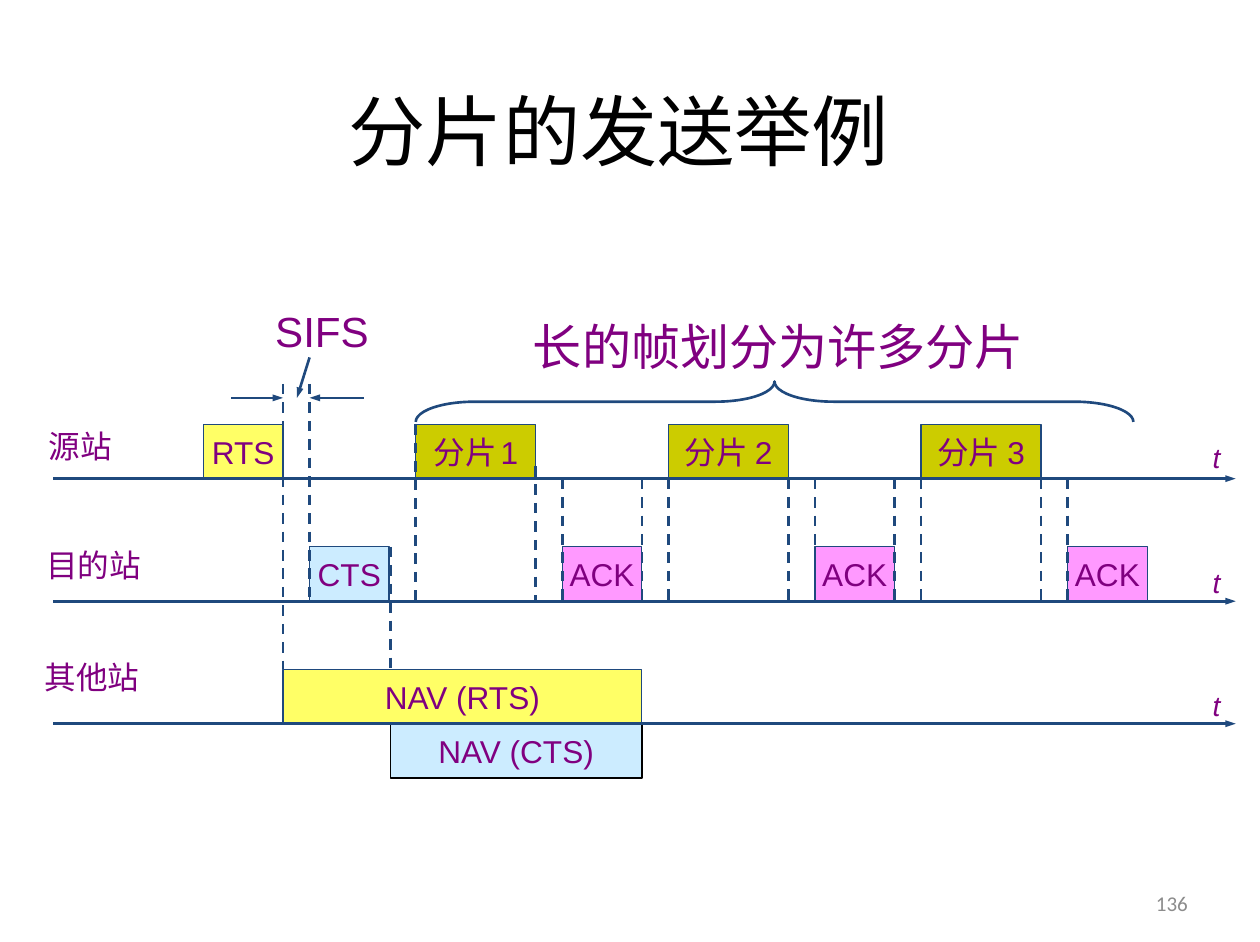
import pptx
import pptx.util
import pptx.dml.color
import pptx.enum.dml
import pptx.enum.shapes
import pptx.enum.text
import pptx.oxml.ns
import lxml.etree

Inches = pptx.util.Inches
RGBColor = pptx.dml.color.RGBColor
ALIGN = pptx.enum.text.PP_ALIGN
ANCHOR = pptx.enum.text.MSO_ANCHOR
SHAPE = pptx.enum.shapes.MSO_SHAPE

BLACK = RGBColor(0x00, 0x00, 0x00)
GRAY = RGBColor(0x8C, 0x8C, 0x8C)
PURPLE = RGBColor(0x80, 0x00, 0x80)
NAVY = RGBColor(0x1F, 0x49, 0x7D)
YELLOW = RGBColor(0xFF, 0xFF, 0x66)
PALE_BLUE = RGBColor(0xCC, 0xEC, 0xFF)
OLIVE = RGBColor(0xCC, 0xCC, 0x00)
PINK = RGBColor(0xFF, 0x99, 0xFF)

SOURCE_AXIS, DESTINATION_AXIS, OTHER_AXIS = 3.79, 4.76, 5.73
BOX_HEIGHT = 0.43
SHORT_FRAME, FRAGMENT = 0.63, 0.95
RTS_END, CTS_START, CTS_END = 2.24, 2.45, 3.09
FIRST_FRAGMENT, FRAGMENT_PITCH, ACK_OFFSET = 3.29, 2, 1.16
NAV_END = 5.08


def write_text(shape, text, size=18, font="Arial", color=PURPLE, align=ALIGN.CENTER,
               anchor=ANCHOR.MIDDLE, italic=False, wrap=False, space_size=None):
    frame = shape.text_frame
    frame.word_wrap = wrap
    frame.vertical_anchor = anchor
    paragraph = frame.paragraphs[0]
    paragraph.alignment = align
    for piece in text.partition(" ") if space_size else [text]:
        run = paragraph.add_run()
        run.text = piece
        run.font.size = pptx.util.Pt(space_size if piece == " " else size)
        run.font.name = font
        run.font.color.rgb = color
        run.font.italic = italic


def add_line(start, end, dashed=False, arrow=False):
    line = slide.shapes.add_connector(
        pptx.enum.shapes.MSO_CONNECTOR.STRAIGHT, *map(Inches, start + end))
    line.line.color.rgb = NAVY
    line.line.width = pptx.util.Pt(1.5)
    properties = line._element.spPr
    if dashed:
        line.line.dash_style = pptx.enum.dml.MSO_LINE.DASH
    if arrow:
        outline = properties.find(pptx.oxml.ns.qn("a:ln"))
        lxml.etree.SubElement(outline, pptx.oxml.ns.qn("a:tailEnd"),
                              type="triangle", w="sm", len="med")
    lxml.etree.SubElement(properties, pptx.oxml.ns.qn("a:effectLst"))


presentation = pptx.Presentation()
presentation.slide_width = Inches(718 / 72)
presentation.slide_height = Inches(537 / 72)
slide = presentation.slides.add_slide(presentation.slide_layouts[5])

title = slide.shapes.title
title.left, title.top, title.width, title.height = map(Inches, (1.19, 0.23, 7.42, 1.59))
write_text(title, "分片的发送举例", size=44, font="Calibri", color=BLACK, wrap=True)

label_format = dict(anchor=ANCHOR.TOP)
time_format = dict(size=16, align=ALIGN.LEFT, anchor=ANCHOR.TOP, italic=True)
labels = [
    ("t", 9.5, 3.44, 0.26, 0.37, time_format),
    ("t", 9.5, 4.43, 0.26, 0.37, time_format),
    ("t", 9.5, 5.4, 0.26, 0.37, time_format),
    ("源站", 0.28, 3.33, 0.71, 0.4, label_format),
    ("目的站", 0.26, 4.27, 0.96, 0.4, label_format),
    ("其他站", 0.25, 5.16, 0.96, 0.4, label_format),
    ("SIFS", 2.08, 2.37, 0.95, 0.5, dict(size=24, align=ALIGN.LEFT, anchor=ANCHOR.TOP)),
    ("长的帧划分为许多分片", 4.12, 2.46, 4.13, 0.57,
     dict(size=28, align=ALIGN.LEFT, anchor=ANCHOR.TOP)),
    ("136", 7.17, 6.95, 2.33, 0.4,
     dict(size=12, font="Calibri", color=GRAY, align=ALIGN.RIGHT, wrap=True)),
]
for text, left, top, width, height, text_format in labels:
    label = slide.shapes.add_textbox(*map(Inches, (left, top, width, height)))
    write_text(label, text, **text_format)

frames = [
    ("RTS", RTS_END - SHORT_FRAME, SOURCE_AXIS, SHORT_FRAME, YELLOW, NAVY),
    ("CTS", CTS_START, DESTINATION_AXIS, SHORT_FRAME, PALE_BLUE, NAVY),
    ("NAV (RTS)", RTS_END, OTHER_AXIS, NAV_END - RTS_END, YELLOW, NAVY),
    ("NAV (CTS)", CTS_END, OTHER_AXIS + BOX_HEIGHT, NAV_END - CTS_END, PALE_BLUE, BLACK),
]
dashes = [
    (RTS_END, 3.04, 5.3),
    (CTS_START, 3.04, DESTINATION_AXIS),
    (CTS_END, 4.33, 5.3),
]
for index in range(3):
    start = FIRST_FRAGMENT + index * FRAGMENT_PITCH
    end = start + FRAGMENT
    ack = start + ACK_OFFSET
    frames.append((f"分片 {index + 1}", start, SOURCE_AXIS, FRAGMENT, OLIVE, NAVY))
    frames.append(("ACK", ack, DESTINATION_AXIS, SHORT_FRAME, PINK, NAVY))
    dashes.append((start, SOURCE_AXIS if index else 3.36, DESTINATION_AXIS))
    dashes.append((end, SOURCE_AXIS if index else 3.69, DESTINATION_AXIS))
    dashes.append((ack, SOURCE_AXIS, DESTINATION_AXIS))
    if index < 2:
        dashes.append((ack + SHORT_FRAME, SOURCE_AXIS, DESTINATION_AXIS))

for text, left, bottom, width, fill, outline in frames:
    box = slide.shapes.add_shape(
        SHAPE.RECTANGLE, *map(Inches, (left, bottom - BOX_HEIGHT, width, BOX_HEIGHT)))
    box.shadow.inherit = False
    box.fill.solid()
    box.fill.fore_color.rgb = fill
    box.line.color.rgb = outline
    box.line.width = pptx.util.Pt(0.75)
    write_text(box, text, space_size=10 if text == "分片 1" else None)

for x, top, bottom in dashes:
    add_line((x, top), (x, bottom), dashed=True)

brace = slide.shapes.add_shape(SHAPE.RIGHT_BRACE, *map(Inches, (5.97, 0.34, 0.32, 5.68)))
brace.rotation = 270
brace.adjustments[0] = 1.46
brace.adjustments[1] = 0.5
brace.shadow.inherit = False
brace.fill.background()
brace.line.color.rgb = NAVY
brace.line.width = pptx.util.Pt(1.5)

arrows = [
    ((1.83, 3.15), (RTS_END, 3.15)),
    ((2.88, 3.15), (CTS_START, 3.15)),
    ((2.45, 2.83), (2.35, 3.15)),
]
for axis in (SOURCE_AXIS, DESTINATION_AXIS, OTHER_AXIS):
    arrows.append(((0.42, axis), (9.78, axis)))
for start, end in arrows:
    add_line(start, end, arrow=True)

presentation.save("out.pptx")
